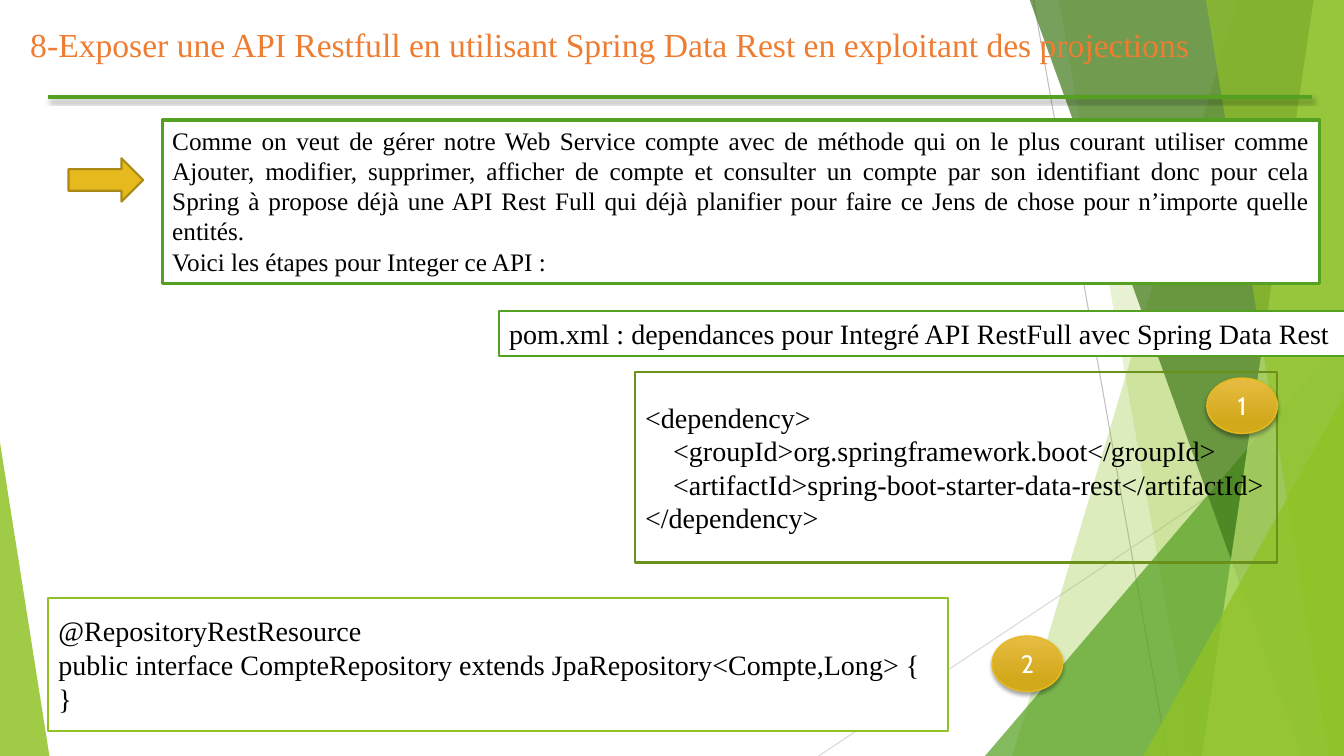
"""Build the slide on exposing a REST API with Spring Data Rest."""
from dataclasses import dataclass

from lxml import etree
from pptx import Presentation
from pptx.dml.color import RGBColor
from pptx.enum.shapes import MSO_CONNECTOR, MSO_SHAPE
from pptx.enum.text import MSO_ANCHOR, MSO_AUTO_SIZE, PP_ALIGN
from pptx.oxml.ns import qn
from pptx.util import Inches, Pt

STRAIGHT = MSO_CONNECTOR.STRAIGHT
RECTANGLE, OVAL = MSO_SHAPE.RECTANGLE, MSO_SHAPE.OVAL
TRIANGLE, RIGHT_ARROW = MSO_SHAPE.ISOSCELES_TRIANGLE, MSO_SHAPE.RIGHT_ARROW
TOP, MIDDLE = MSO_ANCHOR.TOP, MSO_ANCHOR.MIDDLE
LEFT, CENTER, JUSTIFY = PP_ALIGN.LEFT, PP_ALIGN.CENTER, PP_ALIGN.JUSTIFY
GROW, FIXED = MSO_AUTO_SIZE.SHAPE_TO_FIT_TEXT, MSO_AUTO_SIZE.NONE
WIDTH, HEIGHT = 13.33, 7.5


@dataclass(frozen=True)
class Theme:
    serif: str = "Times New Roman"
    sans: str = "Cabin"
    title_size: float = 24
    code_size: float = 20
    body_size: float = 18
    black: str = "000000"
    white: str = "FFFFFF"
    orange: str = "EE7D31"
    lime: str = "90C226"
    pale_lime: str = "C0E474"
    green: str = "54A021"
    forest: str = "3F7819"
    olive: str = "6B901C"
    gold: str = "E6B91E"
    gold_edge: str = "AA8916"
    gold_light: str = "E7BC43"
    gold_deep: str = "D2A91B"
    grey: str = "BFBFBF"
    light_grey: str = "D9D9D9"


THEME = Theme()


@dataclass(frozen=True)
class Band:
    top_x: float
    bottom_x: float
    colour: str
    opacity: int


@dataclass(frozen=True)
class Corner:
    left: float
    top: float
    width: float
    apex: float
    colour: str
    opacity: int


@dataclass(frozen=True)
class Rule:
    start: tuple[float, float]
    end: tuple[float, float]
    colour: str
    weight: float
    shadowed: bool = False


@dataclass(frozen=True)
class Panel:
    area: tuple[float, float, float, float]
    edge: str
    paragraphs: tuple[tuple[str, ...], ...]
    size: float = THEME.code_size
    weight: float = 1.5
    fill: str | None = THEME.white
    align: PP_ALIGN = LEFT
    anchor: MSO_ANCHOR = MIDDLE
    fit: MSO_AUTO_SIZE = FIXED
    wrap: bool = True


@dataclass(frozen=True)
class Badge:
    left: float
    top: float
    label: str


BACK_RULES = (
    Rule((10.25, 0), (11.58, HEIGHT), THEME.grey, 0.75),
    Rule((WIDTH, 4.03), (8.12, HEIGHT), THEME.light_grey, 0.75),
)
HEADER_RULE = Rule((0.48, 0.96), (13.01, 0.96), THEME.green, 3, True)
FACETS = (
    Band(12.28, 10.04, THEME.lime, 30),
    Band(10.5, 11.83, THEME.lime, 20),
    Corner(9.77, 3.33, 3.56, 1, THEME.green, 72),
    Band(10.21, 12.91, THEME.forest, 70),
    Band(13.03, 11.92, THEME.pale_lime, 70),
    Band(11.96, 13.18, THEME.lime, 65),
    Corner(11.34, 3.93, 1.99, 1, THEME.lime, 80),
    Corner(0, 4.39, 0.49, 0, THEME.lime, 85),
)
TITLE = "8-Exposer une API Restfull en utilisant Spring Data Rest en exploitant des projections"
PANELS = (
    Panel((6.3, 3.69, 6.37, 1.89), THEME.olive, ((
        "<dependency>",
        "    <groupId>org.springframework.boot</groupId>",
        "    <artifactId>spring-boot-starter-data-rest</artifactId>",
        "</dependency>",
    ),), fill=None),
    Panel((4.95, 3.09, 8.39, 0.44), THEME.green, ((
        "pom.xml : dependances pour Integré API RestFull avec Spring Data Rest",
    ),), anchor=TOP, fit=GROW, wrap=False),
    Panel((1.61, 1.19, 11.48, 1.62), THEME.green, (
        ("Comme on veut de gérer notre Web Service compte avec de méthode qui on le plus "
         "courant utiliser comme Ajouter, modifier, supprimer, afficher de compte et consulter "
         "un compte par son identifiant donc pour cela Spring à propose déjà une API Rest Full "
         "qui déjà planifier pour faire ce Jens de chose pour n’importe quelle entités.",),
        ("Voici les étapes pour Integer ce API :",),
    ), THEME.body_size, 2.25, align=JUSTIFY, anchor=TOP, fit=GROW),
    Panel((0.48, 5.93, 8.92, 1.32), THEME.lime, ((
        "@RepositoryRestResource",
        "public interface CompteRepository extends JpaRepository<Compte,Long> {",
        "}",
    ),)),
)
BADGES = (Badge(11.97, 3.75, "1"), Badge(9.84, 6.31, "2"))


def rgb(colour: str) -> RGBColor:
    return RGBColor.from_string(colour)


def add_shadow(effects) -> None:
    shadow = etree.SubElement(effects, qn("a:outerShdw"), blurRad=str(Pt(3)),
                              dist=str(Pt(2)), dir="5400000", rotWithShape="0")
    tint = etree.SubElement(shadow, qn("a:srgbClr"), val=THEME.black)
    etree.SubElement(tint, qn("a:alpha"), val="35000")


def draw_rule(page, rule: Rule) -> None:
    line = page.shapes.add_connector(STRAIGHT, *map(Inches, rule.start + rule.end))
    line.line.color.rgb = rgb(rule.colour)
    line.line.width = Pt(rule.weight)
    effects = etree.SubElement(line.element.spPr, qn("a:effectLst"))
    if rule.shadowed:
        add_shadow(effects)


def draw_facet(page, facet: Band | Corner) -> None:
    if isinstance(facet, Band):
        builder = page.shapes.build_freeform(Inches(facet.top_x), Inches(-0.01))
        corners = ((WIDTH, -0.01), (WIDTH, HEIGHT), (facet.bottom_x, HEIGHT))
        builder.add_line_segments([(Inches(x), Inches(y)) for x, y in corners])
        shape = builder.convert_to_shape()
    else:
        area = (facet.left, facet.top, facet.width, HEIGHT - facet.top)
        shape = page.shapes.add_shape(TRIANGLE, *map(Inches, area))
        shape.adjustments[0] = facet.apex
    shape.shadow.inherit = False
    shape.fill.solid()
    shape.fill.fore_color.rgb = rgb(facet.colour)
    tint = shape.element.spPr.find(f".//{qn('a:srgbClr')}")
    etree.SubElement(tint, qn("a:alpha"), val=str(facet.opacity * 1000))
    shape.line.fill.background()


def write(frame, paragraphs: tuple[tuple[str, ...], ...], font: str, size: float,
          colour: str, align: PP_ALIGN, anchor: MSO_ANCHOR) -> None:
    frame.vertical_anchor = anchor
    for number, lines in enumerate(paragraphs):
        para = frame.add_paragraph() if number else frame.paragraphs[0]
        para.alignment = align
        for row, text in enumerate(lines):
            if row:
                para.add_line_break()
            span = para.add_run()
            span.text = text
            span.font.name = font
            span.font.size = Pt(size)
            span.font.color.rgb = rgb(colour)


def draw_title(page) -> None:
    title = page.shapes.title
    title.element.getparent().append(title.element)
    title.left, title.top, title.width, title.height = map(Inches, (0.2, 0.19, 12.89, 0.5))
    title.text_frame.word_wrap = True
    title.text_frame.auto_size = GROW
    write(title.text_frame, ((TITLE,),), THEME.serif, THEME.title_size, THEME.orange, LEFT, TOP)


def draw_shape(page, preset: MSO_SHAPE, area: tuple[float, float, float, float],
               fill: str | None, edge: str, weight: float):
    shape = page.shapes.add_shape(preset, *map(Inches, area))
    shape.shadow.inherit = False
    if fill:
        shape.fill.solid()
        shape.fill.fore_color.rgb = rgb(fill)
    else:
        shape.fill.background()
    shape.line.color.rgb = rgb(edge)
    shape.line.width = Pt(weight)
    return shape


def draw_panel(page, panel: Panel) -> None:
    box = draw_shape(page, RECTANGLE, panel.area, panel.fill, panel.edge, panel.weight)
    box.text_frame.word_wrap = panel.wrap
    box.text_frame.auto_size = panel.fit
    write(box.text_frame, panel.paragraphs, THEME.serif, panel.size, THEME.black,
          panel.align, panel.anchor)


def draw_badge(page, badge: Badge) -> None:
    disc = draw_shape(page, OVAL, (badge.left, badge.top, 0.7, 0.55), None, THEME.gold, 1)
    disc.fill.gradient()
    disc.fill.gradient_angle = 270
    stops = ((0, THEME.gold_light), (0.78, THEME.gold_deep))
    for stop, (position, colour) in zip(disc.fill.gradient_stops, stops):
        stop.position = position
        stop.color.rgb = rgb(colour)
    add_shadow(disc.element.spPr.find(qn("a:effectLst")))
    write(disc.text_frame, ((badge.label,),), THEME.sans, THEME.body_size, THEME.white,
          CENTER, MIDDLE)


def main() -> None:
    deck = Presentation()
    deck.slide_width, deck.slide_height = Inches(WIDTH), Inches(HEIGHT)
    page = deck.slides.add_slide(deck.slide_layouts[5])
    for rule in BACK_RULES:
        draw_rule(page, rule)
    for facet in FACETS:
        draw_facet(page, facet)
    draw_rule(page, HEADER_RULE)
    draw_title(page)
    for panel in PANELS:
        draw_panel(page, panel)
    draw_shape(page, RIGHT_ARROW, (0.68, 1.57, 0.74, 0.43), THEME.gold, THEME.gold_edge, 1.5)
    for badge in BADGES:
        draw_badge(page, badge)
    deck.save("out.pptx")


if __name__ == "__main__":
    main()
